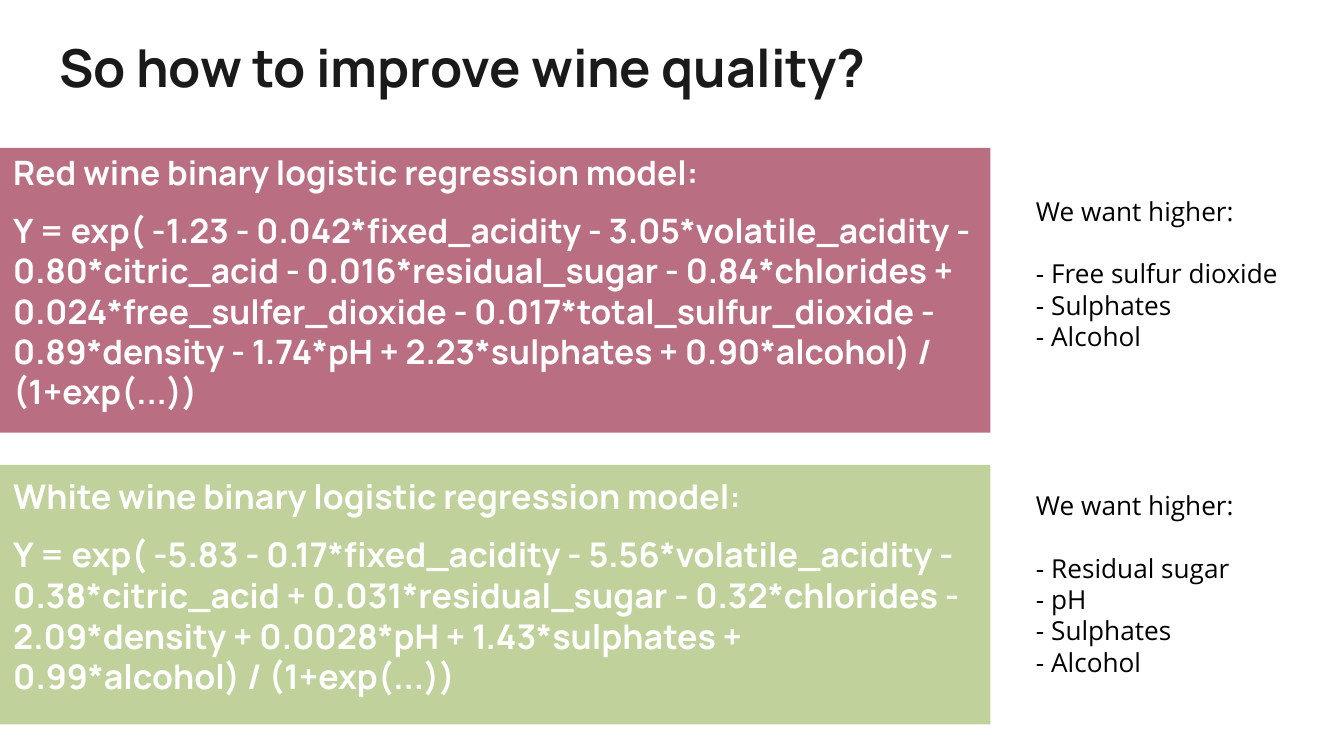
from dataclasses import dataclass

from lxml import etree
from pptx import Presentation
from pptx.dml.color import RGBColor
from pptx.enum.shapes import MSO_SHAPE
from pptx.enum.text import MSO_ANCHOR, MSO_AUTO_SIZE, PP_ALIGN
from pptx.oxml.ns import qn
from pptx.util import Inches, Pt

RECTANGLE = MSO_SHAPE.RECTANGLE
TOP, MIDDLE = MSO_ANCHOR.TOP, MSO_ANCHOR.MIDDLE
NO_AUTOFIT = MSO_AUTO_SIZE.NONE
LEFT = PP_ALIGN.LEFT
TITLE_ONLY = 5


@dataclass(frozen=True)
class Theme:
    heading_font: str = "Manrope"
    body_font: str = "Open Sans"
    ink: str = "1A1A1A"
    black: str = "000000"
    white: str = "FFFFFF"
    red: str = "8F1536"
    green: str = "9AB560"
    panel_opacity: int = 62
    title_size: float = 28
    body_size: float = 14
    leading: float = 1.2


THEME = Theme()

MODELS = [
    {
        "top": 1.1, "height": 2.12, "color": THEME.red, "size": 18,
        "heading": "Red wine binary logistic regression model:",
        "formula": "Y = exp( -1.23 - 0.042*fixed_acidity - 3.05*volatile_acidity - "
                   "0.80*citric_acid - 0.016*residual_sugar - 0.84*chlorides + "
                   "0.024*free_sulfer_dioxide - 0.017*total_sulfur_dioxide - "
                   "0.89*density - 1.74*pH + 2.23*sulphates + 0.90*alcohol) / "
                   "(1+exp(...))",
        "advice_top": 1.35, "advice_height": 1.62,
        "wanted": ["Free sulfur dioxide", "Sulphates", "Alcohol"],
    },
    {
        "top": 3.46, "height": 1.93, "color": THEME.green, "size": 18.2,
        "heading": "White wine binary logistic regression model:",
        "formula": "Y = exp( -5.83 - 0.17*fixed_acidity - 5.56*volatile_acidity - "
                   "0.38*citric_acid + 0.031*residual_sugar - 0.32*chlorides - "
                   "2.09*density + 0.0028*pH + 1.43*sulphates + "
                   "0.99*alcohol) / (1+exp(...))",
        "advice_top": 3.54, "advice_height": 1.85,
        "wanted": ["Residual sugar", "pH", "Sulphates", "Alcohol"],
    },
]


def apply_format(target, values):
    for name, value in values.items():
        setattr(target, name, value)


def write_text(shape, lines, font, color, anchor=TOP, gap=0, leading=None,
               margin_top=0.1, margin_bottom=0.1):
    """Write one paragraph per line, with a gap after the first."""
    frame = shape.text_frame
    apply_format(frame, {
        "word_wrap": True, "auto_size": NO_AUTOFIT, "vertical_anchor": anchor,
        "margin_left": Inches(0.1), "margin_right": Inches(0.1),
        "margin_top": Inches(margin_top), "margin_bottom": Inches(margin_bottom),
    })
    for index, line in enumerate(lines):
        paragraph = frame.paragraphs[0] if index == 0 else frame.add_paragraph()
        paragraph.alignment = LEFT
        if leading:
            paragraph.line_spacing = Pt(leading)
        if index == 1:
            paragraph.space_before = Pt(gap)
        run = paragraph.add_run()
        run.text = line
        apply_format(run.font, font)
        run.font.color.rgb = RGBColor.from_string(color)


def add_title(slide, box, text):
    title = slide.shapes.title
    apply_format(title, dict(zip(("left", "top", "width", "height"), box)))
    font = {"name": THEME.heading_font, "size": Pt(THEME.title_size), "bold": True}
    write_text(title, [text], font, THEME.ink)


def add_model_panel(slide, box, model):
    panel = slide.shapes.add_shape(RECTANGLE, *box)
    panel.shadow.inherit = False
    panel.line.fill.background()
    panel.fill.solid()
    panel.fill.fore_color.rgb = RGBColor.from_string(model["color"])
    # Let the white background show through the fill
    color = panel.fill._xPr.find(qn("a:solidFill"))[0]
    etree.SubElement(color, qn("a:alpha"), val=str(THEME.panel_opacity * 1000))

    size = model["size"]
    font = {"name": THEME.heading_font, "size": Pt(size), "bold": True}
    write_text(panel, [model["heading"], model["formula"]], font, THEME.white,
               anchor=MIDDLE, gap=size / 2 + 0.5, leading=size * THEME.leading,
               margin_top=0.01, margin_bottom=0.14)


def add_advice(slide, box, wanted):
    textbox = slide.shapes.add_textbox(*box)
    leading = THEME.body_size * THEME.leading
    font = {"name": THEME.body_font, "size": Pt(THEME.body_size), "bold": False}
    lines = ["We want higher:"] + [f"- {item}" for item in wanted]
    write_text(textbox, lines, font, THEME.black, gap=leading, leading=leading)


def main():
    presentation = Presentation()
    # Widescreen, 16 to 9
    presentation.slide_width = Inches(10)
    presentation.slide_height = Inches(10 * 9 / 16)
    slide = presentation.slides.add_slide(presentation.slide_layouts[TITLE_ONLY])

    # Title
    add_title(slide, [Inches(value) for value in (0.34, 0.16, 9.11, 0.88)],
              "So how to improve wine quality?")

    # One row per wine: the model on the left, the advice on the right
    for model in MODELS:
        panel_box = (0, model["top"], 7.37, model["height"])
        advice_box = (7.61, model["advice_top"], 2.08, model["advice_height"])
        add_model_panel(slide, [Inches(value) for value in panel_box], model)
        add_advice(slide, [Inches(value) for value in advice_box], model["wanted"])

    presentation.save("out.pptx")


if __name__ == "__main__":
    main()
